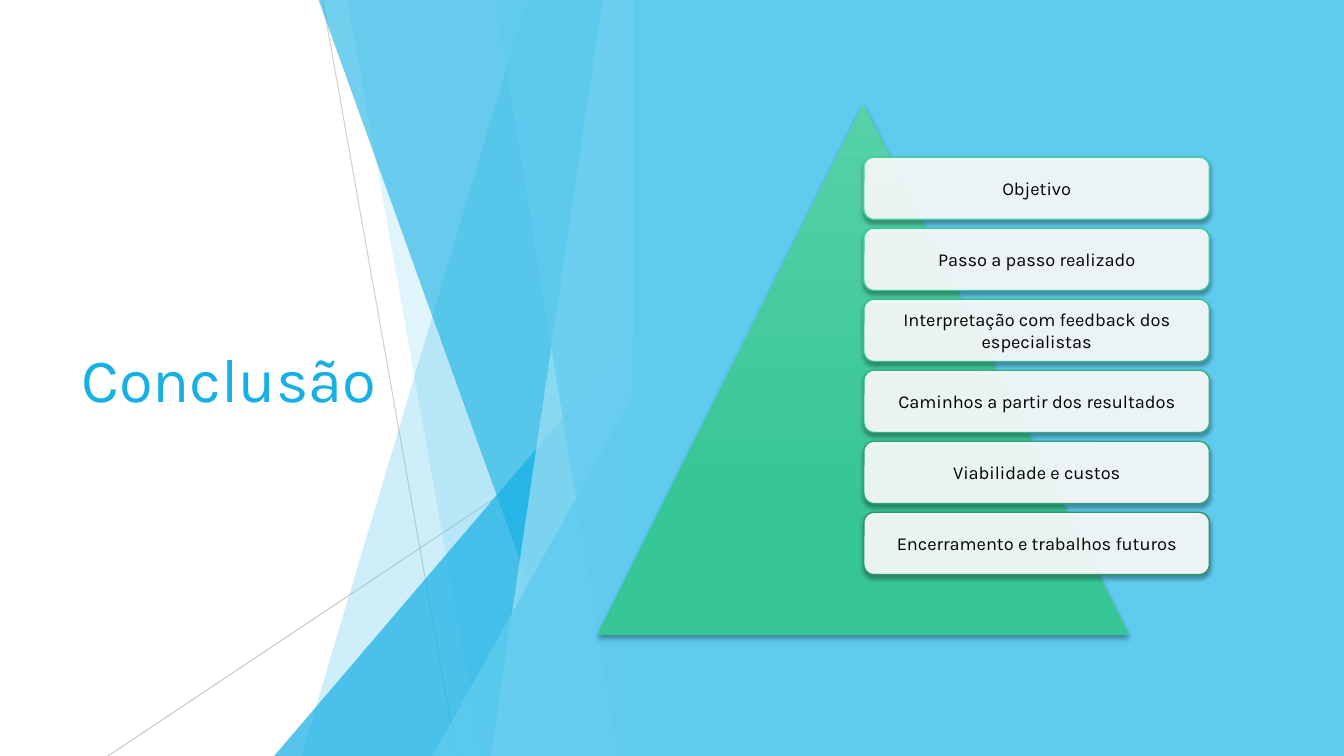
from pptx import Presentation
from pptx.dml.color import RGBColor
from pptx.enum import shapes, text
from pptx.oxml import ns, xmlchemy
from pptx.util import Cm, Pt

# Content; all lengths in cm
SLIDE_W, SLIDE_H = 33.87, 19.05
PANEL_LEFT = 15.95
TITLE = "Conclusão"
TITLE_BOX = (1.8, 3.84, 9.86, 11.38)
TOPICS = [
    ("Objetivo", "42D0A2"),
    ("Passo a passo realizado", "37CB99"),
    ("Interpretação com feedback dos especialistas", "34BE8D"),
    ("Caminhos a partir dos resultados", "32B081"),
    ("Viabilidade e custos", "30A276"),
    ("Encerramento e trabalhos futuros", "2E946B"),
]
PYRAMID_BOX = (15.06, 2.62, 13.39, 13.39)
CARD_LEFT, CARD_TOP, CARD_W, CARD_H, CARD_PITCH = 21.77, 3.96, 8.71, 1.57, 1.79

# start, end, opacity
RAYS = [
    ((8.13, 0), (11.51, SLIDE_H), 75),
    ((PANEL_LEFT, 10.24), (2.72, SLIDE_H), 80),
]
# kind, geometry, colour, opacity; every facet reaches the panel's left edge
# band: x at the top, x at the bottom; peak: left, top
FACETS = [
    ("band", (13.28, 7.59), "sky", 30),
    ("band", (8.76, 12.14), "sky", 20),
    ("peak", (6.91, 8.46), "blue", 72),
    ("band", (8.03, 14.88), "blue", 60),
    ("band", (15.19, 12.37), "pale", 70),
    ("band", (12.47, 15.57), "sky", 65),
    ("peak", (10.9, 9.98), "sky", 80),
]

THEME = {
    "font": "Karla",
    "title_size": Pt(44),
    "card_size": Pt(13),
    "sky": "5FCBEF",
    "blue": "17B0E4",
    "pale": "9FE0F5",
    "ray": "BFBFBF",
    "card": "FFFFFF",
    "ink": "000000",
    "pyramid": [(0, "56D2A7"), (0.78, "36C596")],
}


def rgb(value):
    return RGBColor.from_string(value)


def apply(target, settings):
    for name, value in settings.items():
        setattr(target, name, value)


def add_effect(parent, tag, **attributes):
    child = xmlchemy.OxmlElement(tag)
    for name, value in attributes.items():
        child.set(name, str(value))
    parent.append(child)
    return child


def fade(shape, opacity):
    """Set the opacity, in percent, of the shape's first colour."""
    colour = next(shape._element.spPr.iter(ns.qn("a:srgbClr")))
    add_effect(colour, "a:alpha", val=opacity * 1000)


def paint(shape, colour, opacity=100):
    shape.shadow.inherit = False
    shape.fill.solid()
    shape.fill.fore_color.rgb = rgb(colour)
    shape.line.fill.background()
    if opacity < 100:
        fade(shape, opacity)


def drop_shadow(shape):
    shape.shadow.inherit = False
    effects = shape._element.spPr.find(ns.qn("a:effectLst"))
    shadow = add_effect(effects, "a:outerShdw", blurRad=Pt(3), dist=Pt(2),
                        dir=90 * 60000, algn="ctr", rotWithShape=0)
    black = add_effect(shadow, "a:srgbClr", val=THEME["ink"])
    add_effect(black, "a:alpha", val=35000)


def add_preset(slide, kind, box):
    return slide.shapes.add_shape(kind, *map(Cm, box))


def add_ray(slide, start, end, opacity):
    ray = slide.shapes.add_connector(
        shapes.MSO_CONNECTOR.STRAIGHT, *map(Cm, start + end))
    ray.line.color.rgb = rgb(THEME["ray"])
    ray.line.width = Pt(0.75)
    fade(ray, opacity)
    add_effect(ray._element.spPr, "a:effectLst")


def add_facet(slide, kind, geometry, colour, opacity):
    if kind == "band":
        top_x, bottom_x = geometry
        outline = slide.shapes.build_freeform(Cm(top_x), 0)
        corners = [(PANEL_LEFT, 0), (PANEL_LEFT, SLIDE_H), (bottom_x, SLIDE_H)]
        outline.add_line_segments([(Cm(x), Cm(y)) for x, y in corners])
        facet = outline.convert_to_shape()
    else:
        left, top = geometry
        facet = add_preset(slide, shapes.MSO_SHAPE.ISOSCELES_TRIANGLE,
                           (left, top, PANEL_LEFT - left, SLIDE_H - top))
        facet.adjustments[0] = 1
    paint(facet, THEME[colour], opacity)


def write(shape, wording, size, colour, align, inset):
    frame = shape.text_frame
    margins = ("margin_left", "margin_top", "margin_right", "margin_bottom")
    apply(frame, dict.fromkeys(margins, Cm(inset)))
    apply(frame, {"word_wrap": True,
                  "vertical_anchor": text.MSO_ANCHOR.MIDDLE})
    paragraph = frame.paragraphs[0]
    paragraph.text = wording
    paragraph.alignment = align
    apply(paragraph.font, {"name": THEME["font"], "size": size})
    paragraph.font.color.rgb = rgb(colour)


def add_pyramid(slide):
    pyramid = add_preset(slide, shapes.MSO_SHAPE.ISOSCELES_TRIANGLE, PYRAMID_BOX)
    pyramid.fill.gradient()
    pyramid.fill.gradient_angle = 270
    for stop, (position, colour) in zip(pyramid.fill.gradient_stops, THEME["pyramid"]):
        stop.position = position
        stop.color.rgb = rgb(colour)
    pyramid.line.fill.background()
    drop_shadow(pyramid)


def add_card(slide, row, topic, border):
    card = add_preset(slide, shapes.MSO_SHAPE.ROUNDED_RECTANGLE,
                      (CARD_LEFT, CARD_TOP + row * CARD_PITCH, CARD_W, CARD_H))
    paint(card, THEME["card"], 90)
    card.line.color.rgb = rgb(border)
    card.line.width = Pt(1)
    drop_shadow(card)
    write(card, topic, THEME["card_size"], THEME["ink"],
          text.PP_ALIGN.CENTER, 0.2)


def main():
    deck = Presentation()
    apply(deck, {"slide_width": Cm(SLIDE_W), "slide_height": Cm(SLIDE_H)})
    slide = deck.slides.add_slide(deck.slide_layouts[6])

    for ray in RAYS:
        add_ray(slide, *ray)
    for facet in FACETS:
        add_facet(slide, *facet)

    title = slide.shapes.add_textbox(*map(Cm, TITLE_BOX))
    write(title, TITLE, THEME["title_size"], THEME["blue"],
          text.PP_ALIGN.LEFT, 0.25)

    panel = add_preset(slide, shapes.MSO_SHAPE.RECTANGLE,
                       (PANEL_LEFT, 0, SLIDE_W - PANEL_LEFT, SLIDE_H))
    paint(panel, THEME["sky"])

    add_pyramid(slide)
    for row, (topic, border) in enumerate(TOPICS):
        add_card(slide, row, topic, border)

    deck.save("out.pptx")


if __name__ == "__main__":
    main()
